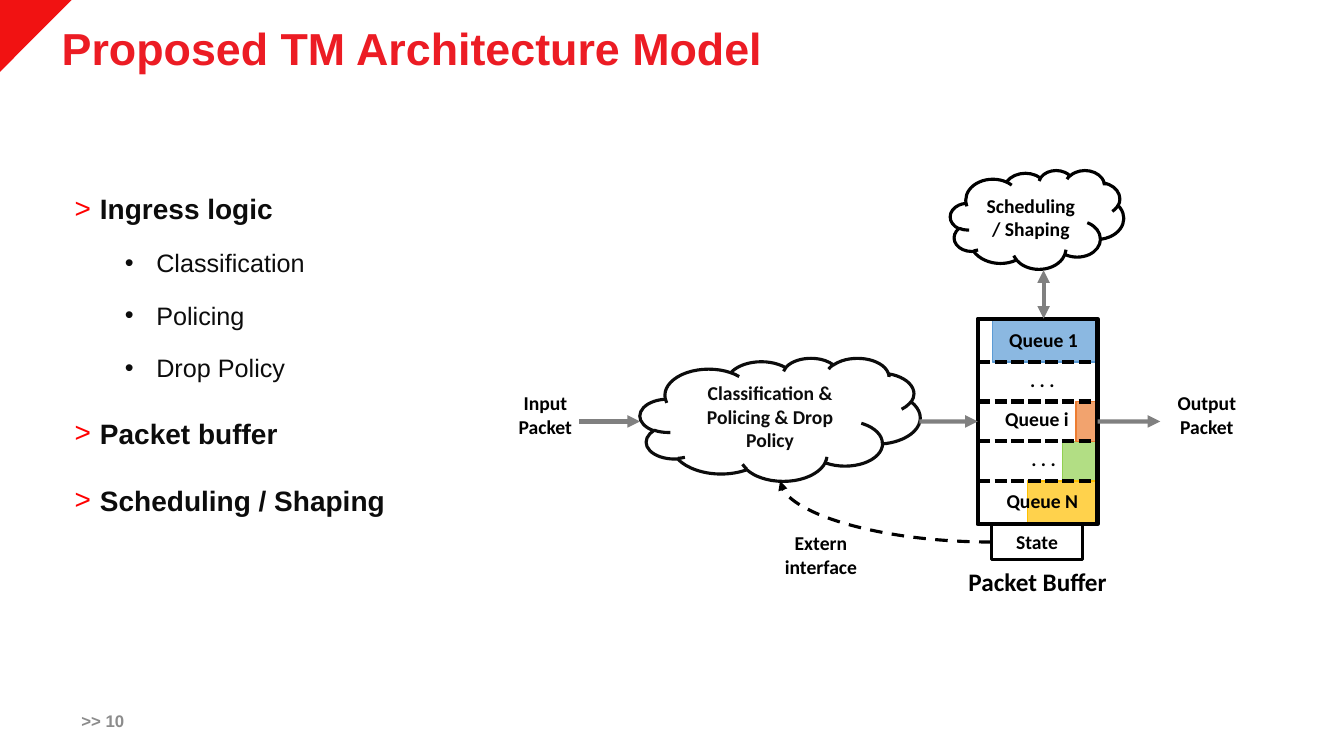
import pptx
import pptx.dml.color
import pptx.enum.dml
import pptx.enum.shapes
import pptx.enum.text
import pptx.oxml
import pptx.oxml.ns
import pptx.util
import lxml.etree

Cm, Pt = pptx.util.Cm, pptx.util.Pt
RGBColor = pptx.dml.color.RGBColor
SHAPE = pptx.enum.shapes.MSO_SHAPE
CONNECTOR = pptx.enum.shapes.MSO_CONNECTOR
ALIGN = pptx.enum.text.PP_ALIGN
ANCHOR = pptx.enum.text.MSO_ANCHOR
DASH = pptx.enum.dml.MSO_LINE
qn = pptx.oxml.ns.qn

BLACK = RGBColor(0x00, 0x00, 0x00)
INK = RGBColor(0x0C, 0x0C, 0x0C)
GRAY = RGBColor(0x80, 0x80, 0x80)
PAGE_GRAY = RGBColor(0x8C, 0x8C, 0x8C)
TITLE_RED = RGBColor(0xEC, 0x1C, 0x24)
CORNER_RED = RGBColor(0xF1, 0x12, 0x12)
BLUE = RGBColor(0x5B, 0x9B, 0xD5)
ORANGE = RGBColor(0xED, 0x7D, 0x31)
GREEN = RGBColor(0x92, 0xD0, 0x50)
YELLOW = RGBColor(0xFF, 0xC0, 0x00)

deck = pptx.Presentation()
deck.slide_width, deck.slide_height = Cm(33.87), Cm(19.05)
slide = deck.slides.add_slide(deck.slide_layouts[5])
shapes = slide.shapes


def write(frame, lines, size, color, font="Calibri", align=ALIGN.CENTER):
    """Fill a text frame with bold paragraphs, one per line."""
    for number, line in enumerate(lines):
        para = frame.paragraphs[0] if number == 0 else frame.add_paragraph()
        para.alignment = align
        span = para.add_run()
        span.text = line
        look = {"name": font, "size": Pt(size), "bold": True}
        for key, value in look.items():
            setattr(span.font, key, value)
        span.font.color.rgb = color


def connect(kind, start, end, color, width, arrows=(), dash=None):
    """Draw a connector with arrowheads at the named ends."""
    link = shapes.add_connector(kind, *[Cm(v) for v in (*start, *end)])
    link.line.color.rgb = color
    link.line.width = Pt(width)
    if dash:
        link.line.dash_style = dash
    line_xml = link.line._get_or_add_ln()
    for arrow in arrows:
        lxml.etree.SubElement(line_xml, qn("a:" + arrow), type="triangle")
    lxml.etree.SubElement(link.element.spPr, qn("a:effectLst"))
    return link


# Red corner
corner = shapes.build_freeform(0, 0)
corner.add_line_segments([(Cm(1.81), 0), (0, Cm(1.81))], close=True)
corner = corner.convert_to_shape()
corner.shadow.inherit = False
corner.fill.solid()
corner.fill.fore_color.rgb = CORNER_RED
corner.line.fill.background()

# Title
title = shapes.title
title_place = {"left": 1.3, "top": 0.58, "width": 29.29, "height": 1.4}
for key, value in title_place.items():
    setattr(title, key, Cm(value))
title.text_frame.auto_size = pptx.enum.text.MSO_AUTO_SIZE.NONE
title.text_frame.vertical_anchor = ANCHOR.MIDDLE
write(title.text_frame, ["Proposed TM Architecture Model"], 32, TITLE_RED, "Arial", ALIGN.LEFT)
title.text_frame.paragraphs[0].line_spacing = 0.9

# Page number
page = shapes.add_textbox(Cm(1.8), Cm(17.65), Cm(2.51), Cm(1.02))
page.text_frame.vertical_anchor = ANCHOR.MIDDLE
write(page.text_frame, [">> 10"], 12, PAGE_GRAY, "Arial", ALIGN.LEFT)

# Bullet list
outline = [
    (0, "Ingress logic"),
    (1, "Classification"),
    (1, "Policing"),
    (1, "Drop Policy"),
    (0, "Packet buffer"),
    (0, "Scheduling / Shaping"),
]
levels = [
    {"size": 20, "bold": True, "before": 12, "margin": 0.64, "hang": 0.64, "bullet": "˃"},
    {"size": 18, "bold": False, "before": 5, "margin": 2.06, "hang": 0.79, "bullet": "•"},
]
body = shapes.add_textbox(Cm(1.63), Cm(4.29), Cm(13.34), Cm(13.21)).text_frame
body.word_wrap = True
write(body, [text for _, text in outline], 20, INK, "Arial", ALIGN.LEFT)
for para, (depth, _) in zip(body.paragraphs, outline):
    level = levels[depth]
    para.level = depth
    para.line_spacing = 1.5
    para.space_before = Pt(level["before"])
    para.runs[0].font.size = Pt(level["size"])
    para.runs[0].font.bold = level["bold"]
    properties = para._p.get_or_add_pPr()
    properties.set("marL", str(Cm(level["margin"])))
    properties.set("indent", str(-Cm(level["hang"])))
    if depth == 0:
        bullet_color = lxml.etree.SubElement(properties, qn("a:buClr"))
        lxml.etree.SubElement(bullet_color, qn("a:srgbClr"), val="FF0000")
    lxml.etree.SubElement(properties, qn("a:buFont"), typeface="Arial")
    lxml.etree.SubElement(properties, qn("a:buChar"), char=level["bullet"])

# Packet buffer: five rows, each bar filled from the right edge
left, top, width, height = 24.64, 8.03, 3.02, 5.18
right, bottom, middle = left + width, top + height, top + height / 2
dividers = [9.12 + row for row in range(4)]
edges = [top, *dividers, bottom]
bars = [(3, 0.86, GREEN), (4, 1.73, YELLOW), (2, 0.51, ORANGE), (0, 2.62, BLUE)]
for row, length, color in bars:
    bar = shapes.add_shape(SHAPE.RECTANGLE, Cm(right - 0.03 - length), Cm(edges[row]),
                           Cm(length), Cm(edges[row + 1] - edges[row]))
    bar.shadow.inherit = False
    bar.fill.solid()
    bar.fill.fore_color.rgb = color
    bar.line.color.rgb = color
    bar.line.width = Pt(1)
    fill_color = bar.element.spPr.find(qn("a:solidFill")).find(qn("a:srgbClr"))
    lxml.etree.SubElement(fill_color, qn("a:alpha"), val="70000")

# Outlined shapes
outlines = [
    (SHAPE.RECTANGLE, left, top, width, height, 3, BLACK, ""),
    (SHAPE.RECTANGLE, 24.99, bottom, 2.29, 0.89, 2.5, BLACK, "State"),
    (SHAPE.CLOUD, 16.13, 9.02, 7.06, 3.1, 2.25, INK, "Classification & Policing & Drop Policy"),
    (SHAPE.CLOUD, 23.95, 4.29, 4.37, 2.49, 2.25, BLACK, "Scheduling / Shaping"),
]
drawn = []
for kind, x, y, w, h, weight, color, text in outlines:
    box = shapes.add_shape(kind, Cm(x), Cm(y), Cm(w), Cm(h))
    box.shadow.inherit = False
    box.fill.background()
    box.line.color.rgb = color
    box.line.width = Pt(weight)
    box.text_frame.vertical_anchor = ANCHOR.MIDDLE
    if text:
        write(box.text_frame, [text], 14, color)
    drawn.append(box)
buffer = drawn[0]

# Row dividers
for y in dividers:
    connect(CONNECTOR.STRAIGHT, (left, y), (right, y), BLACK, 3, dash=DASH.SQUARE_DOT)

# Labels
labels = [
    (25.17, 8.15, 2.26, 0.86, 14, ["Queue 1"]),
    (25.7, 9.14, 1.14, 0.86, 14, [". . ."]),
    (25.07, 10.13, 2.13, 0.86, 14, ["Queue i"]),
    (25.73, 11.13, 1.14, 0.86, 14, [". . ."]),
    (25.1, 12.19, 2.34, 0.86, 14, ["Queue N"]),
    (24.13, 14.15, 4.04, 1.02, 18, ["Packet Buffer"]),
    (12.5, 9.73, 2.49, 2.08, 14, ["Input", "Packet"]),
    (29.08, 9.73, 2.67, 2.08, 14, ["Output", "Packet"]),
    (19.13, 13.26, 3.12, 2.08, 14, ["Extern", "interface"]),
]
for x, y, w, h, size, lines in labels:
    label = shapes.add_textbox(Cm(x), Cm(y), Cm(w), Cm(h))
    label.text_frame.word_wrap = False
    write(label.text_frame, lines, size, BLACK)

# Packet flow
connect(CONNECTOR.STRAIGHT, (14.6, middle), (16.13, middle), GRAY, 3, ["tailEnd"])
arrival = connect(CONNECTOR.STRAIGHT, (23.17, middle), (left, middle), GRAY, 3, ["tailEnd"])
arrival.end_connect(buffer, 1)
departure = connect(CONNECTOR.STRAIGHT, (right, middle), (29.24, middle), GRAY, 3, ["tailEnd"])
departure.begin_connect(buffer, 3)
connect(CONNECTOR.STRAIGHT, (26.3, top), (26.3, 6.81), GRAY, 3, ["headEnd", "tailEnd"])

# Extern interface, from State back to the classification cloud
feedback = connect(CONNECTOR.CURVE, (24.99, 13.66), (19.66, 12.12), BLACK, 2.25,
                   ["tailEnd"], DASH.DASH)
feedback.element.spPr.find(qn("a:prstGeom")).set("prst", "curvedConnector2")

deck.save("out.pptx")
